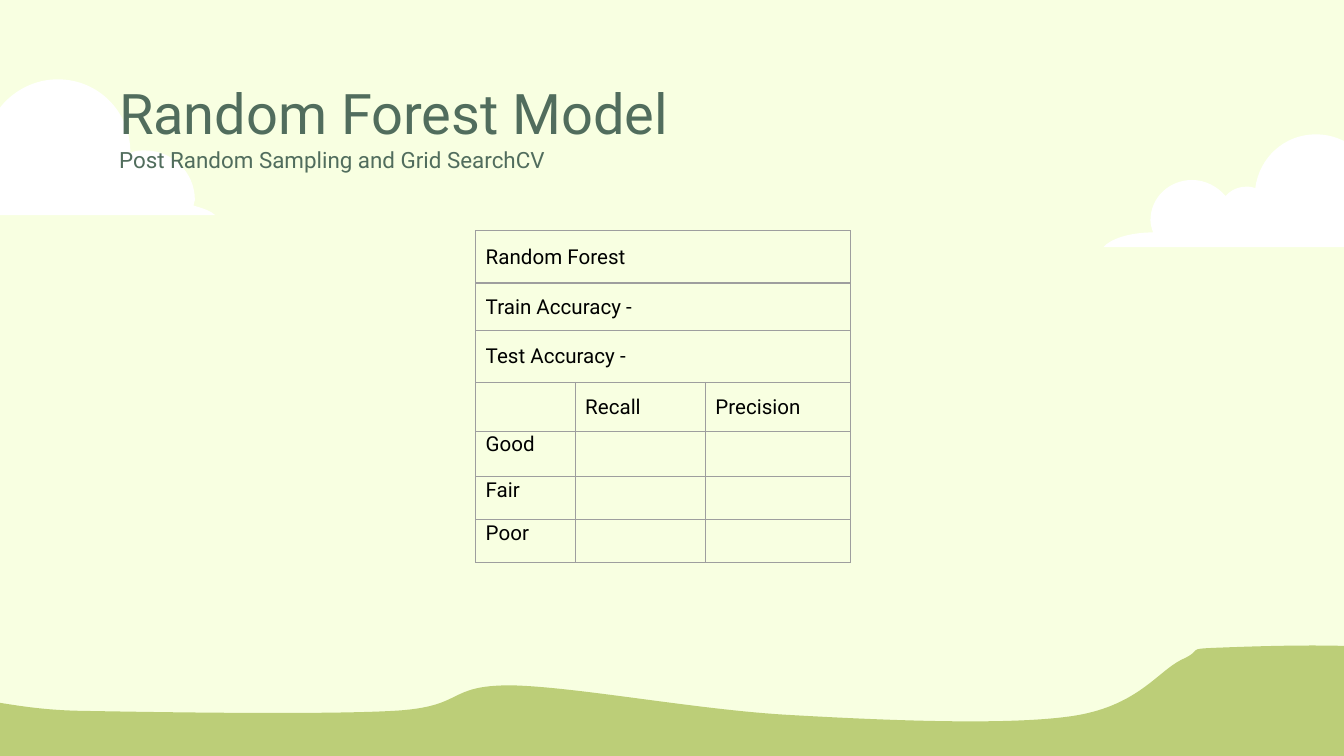
from dataclasses import dataclass

import pptx
import pptx.dml.color
import pptx.enum.text
import pptx.oxml.ns
import pptx.util
from lxml import etree

Cm, Pt = pptx.util.Cm, pptx.util.Pt
qn = pptx.oxml.ns.qn
FONT = "Roboto"
SKY, CLOUD, GRASS = "F8FFE1", "FFFFFF", "BCCE78"
TITLE_GREEN, BLACK, GRID_GREY = "516D5D", "000000", "9E9E9E"
CM_PER_UNIT = 2.54


@dataclass
class Outline:
    """A closed outline: two numbers are a straight step, six a Bezier curve."""
    color: str
    bounds: tuple
    start: tuple
    steps: list


@dataclass
class Row:
    """One table row; a single text in a merged row fills its whole width."""
    height: float
    texts: tuple
    merged: bool = False
    middle: bool = True
    justified: bool = True


SCENERY = [
    Outline(CLOUD, (-0.75, 0.59, 2.35, 1.01), (0.43, 0.59), [
        (0.15, 0.59, -0.09, 0.81, -0.11, 1.08), (-0.16, 1.05, -0.22, 1.03, -0.29, 1.03),
        (-0.47, 1.03, -0.61, 1.17, -0.61, 1.35), (-0.61, 1.41, -0.59, 1.47, -0.56, 1.52),
        (-0.64, 1.54, -0.71, 1.57, -0.75, 1.6), (1.6, 1.6),
        (1.57, 1.57, 1.51, 1.55, 1.44, 1.53), (1.44, 1.51, 1.45, 1.5, 1.45, 1.49),
        (1.45, 1.28, 1.28, 1.12, 1.08, 1.12), (1.04, 1.12, 1, 1.12, 0.97, 1.14),
        (0.97, 1.13), (0.97, 0.83, 0.73, 0.59, 0.43, 0.59)]),
    Outline(CLOUD, (8.21, 1, 2.45, 0.84), (9.79, 1), [
        (9.56, 1, 9.37, 1.17, 9.34, 1.4), (9.32, 1.39, 9.3, 1.39, 9.27, 1.39),
        (9.21, 1.39, 9.15, 1.42, 9.12, 1.46), (9.06, 1.39, 8.97, 1.34, 8.87, 1.34),
        (8.7, 1.34, 8.56, 1.47, 8.56, 1.64), (8.56, 1.67, 8.57, 1.7, 8.58, 1.73),
        (8.4, 1.73, 8.26, 1.78, 8.21, 1.84), (10.66, 1.84),
        (10.61, 1.79, 10.51, 1.76, 10.39, 1.75), (10.39, 1.73, 10.4, 1.71, 10.4, 1.69),
        (10.4, 1.61, 10.33, 1.54, 10.25, 1.54), (10.25, 1.51, 10.25, 1.49, 10.25, 1.46),
        (10.25, 1.21, 10.05, 1, 9.79, 1)]),
    Outline(GRASS, (-0.48, 4.8, 11.34, 1.05), (10.39, 4.84), [
        (10.09, 4.78, 9.33, 4.81, 9.07, 4.82), (8.8, 4.83, 8.97, 4.83, 8.79, 4.91),
        (8.61, 5, 8.46, 5.26, 7.97, 5.33), (7.48, 5.4, 6.56, 5.36, 5.86, 5.32),
        (5.17, 5.28, 4.29, 5.11, 3.8, 5.1), (3.31, 5.1, 3.47, 5.26, 2.93, 5.29),
        (2.4, 5.32, 1.16, 5.3, 0.6, 5.29), (0.05, 5.28, -0.21, 5.15, -0.38, 5.22),
        (-0.55, 5.3, -0.46, 5.63, -0.42, 5.72), (-0.37, 5.82, -0.51, 5.78, -0.12, 5.79),
        (0.27, 5.8, 0.28, 5.79, 1.91, 5.79), (3.55, 5.8, 8.2, 5.91, 9.69, 5.82),
        (11.18, 5.72, 10.72, 5.39, 10.83, 5.22), (10.95, 5.06, 10.68, 4.91, 10.39, 4.84)]),
]

COLUMN_WIDTHS = (1.88, 2.46, 2.74)
ROWS = [
    Row(0.99, ("Random Forest",), merged=True),
    Row(0.89, ("Train Accuracy -",), merged=True),
    Row(0.99, ("Test Accuracy - ",), merged=True, justified=False),
    Row(0.92, ("", "Recall", "Precision")),
    Row(0.86, ("Good",), middle=False),
    Row(0.81, ("Fair",), middle=False),
    Row(0.81, ("Poor",), middle=False),
]


def rgb(color: str) -> pptx.dml.color.RGBColor:
    """Turn a hex string into a colour."""
    return pptx.dml.color.RGBColor.from_string(color)


def style_span(span, size: float, color: str) -> None:
    """Set the font of one run."""
    span.font.name = FONT
    span.font.size = Pt(size)
    span.font.color.rgb = rgb(color)


def length(value: float) -> int:
    """Turn an outline coordinate into a slide length."""
    return Cm(value * CM_PER_UNIT)


def bend(shape, outline: Outline) -> None:
    """Turn the straight steps of a freeform into its curves."""
    shape.left, shape.top, shape.width, shape.height = map(length, outline.bounds)
    track = next(shape.element.iter(qn("a:path")))
    track.set("w", str(shape.width))
    track.set("h", str(shape.height))
    for part in list(track):
        track.remove(part)
    for index, step in enumerate([outline.start] + outline.steps):
        tag = "a:moveTo" if index == 0 else "a:lnTo" if len(step) == 2 else "a:cubicBezTo"
        part = etree.SubElement(track, qn(tag))
        for x, y in zip(step[::2], step[1::2]):
            etree.SubElement(part, qn("a:pt"), x=str(length(x) - shape.left),
                             y=str(length(y) - shape.top))
    etree.SubElement(track, qn("a:close"))


def draw_outline(page, outline: Outline) -> None:
    """Draw one filled piece of scenery."""
    builder = page.shapes.build_freeform(*map(length, outline.start))
    builder.add_line_segments([tuple(map(length, step[-2:])) for step in outline.steps])
    shape = builder.convert_to_shape()
    bend(shape, outline)
    shape.shadow.inherit = False
    shape.fill.solid()
    shape.fill.fore_color.rgb = rgb(outline.color)
    shape.line.fill.background()


def draw_title(page) -> None:
    """Place the title and its subtitle in front of the scenery."""
    box = page.shapes.title
    page.shapes.element.append(box.element)
    box.left, box.top, box.width, box.height = Cm(2.0), Cm(1.24), Cm(21.4), Cm(1.6)
    frame = box.text_frame
    frame.auto_size = pptx.enum.text.MSO_AUTO_SIZE.NONE
    frame.word_wrap = True
    frame.vertical_anchor = pptx.enum.text.MSO_ANCHOR.TOP
    frame.margin_left = frame.margin_right = Cm(0.25)
    frame.margin_top = frame.margin_bottom = Cm(0.25)
    para = frame.paragraphs[0]
    para.text = "Random Forest Model\vPost Random Sampling and Grid SearchCV"
    para.alignment = pptx.enum.text.PP_ALIGN.LEFT
    for span, size in zip(para.runs, (30, 12)):
        style_span(span, size, TITLE_GREEN)
    line_break = para.runs[0]._r.getnext()
    etree.SubElement(line_break, qn("a:rPr"), sz="3000")


def add_borders(cell) -> None:
    """Give a cell thin grey lines on all four sides."""
    properties = cell._tc.get_or_add_tcPr()
    for position, side in enumerate(("a:lnL", "a:lnR", "a:lnT", "a:lnB")):
        line = etree.Element(qn(side), w=str(Pt(0.75)))
        fill = etree.SubElement(line, qn("a:solidFill"))
        etree.SubElement(fill, qn("a:srgbClr"), val=GRID_GREY)
        properties.insert(position, line)


def format_cell(cell, middle: bool) -> None:
    """Set the margins, fill, borders and anchor of a cell."""
    cell.margin_left = cell.margin_right = Cm(0.19)
    cell.margin_top = cell.margin_bottom = 0
    anchors = pptx.enum.text.MSO_ANCHOR
    cell.vertical_anchor = anchors.MIDDLE if middle else anchors.TOP
    cell.fill.background()
    add_borders(cell)


def write_cell(cell, text: str, justified: bool) -> None:
    """Write a text into a cell."""
    para = cell.text_frame.paragraphs[0]
    para.text = text
    if justified:
        para.alignment = pptx.enum.text.PP_ALIGN.JUSTIFY
        para.line_spacing = 1.07
    for span in para.runs:
        style_span(span, 11, BLACK)


def draw_table(page) -> None:
    """Draw the table of model scores."""
    table = page.shapes.add_table(
        len(ROWS), len(COLUMN_WIDTHS), Cm(8.99), Cm(4.36),
        Cm(sum(COLUMN_WIDTHS)), Cm(sum(row.height for row in ROWS))).table
    table.first_row = table.horz_banding = False
    for column, width in zip(table.columns, COLUMN_WIDTHS):
        column.width = Cm(width)
    for index, row in enumerate(ROWS):
        table.rows[index].height = Cm(row.height)
        cells = list(table.rows[index].cells)
        for cell in cells:
            format_cell(cell, row.middle)
        if row.merged:
            cells[0].merge(cells[-1])
        for cell, text in zip(cells, row.texts):
            if text:
                write_cell(cell, text, row.justified)


def main() -> None:
    """Build and save the slide."""
    deck = pptx.Presentation()
    deck.slide_width, deck.slide_height = Cm(25.4), Cm(14.29)
    page = deck.slides.add_slide(deck.slide_layouts.get_by_name("Title Only"))
    page.background.fill.solid()
    page.background.fill.fore_color.rgb = rgb(SKY)
    for outline in SCENERY:
        draw_outline(page, outline)
    draw_title(page)
    draw_table(page)
    deck.save("out.pptx")


main()
